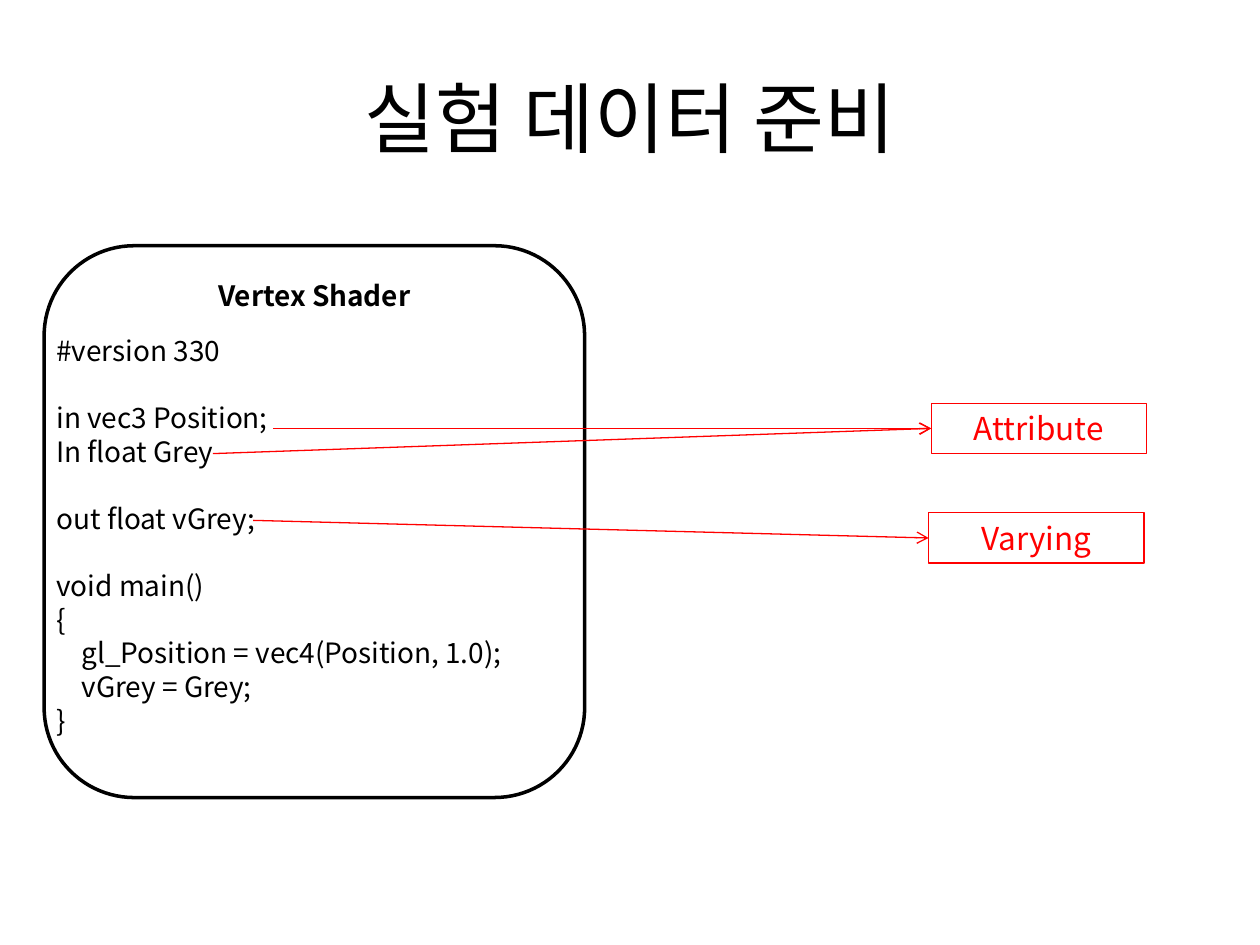
from pptx import Presentation
from pptx.dml.color import RGBColor
from pptx.enum.shapes import MSO_CONNECTOR, MSO_SHAPE
from pptx.enum.text import MSO_ANCHOR, PP_ALIGN
from pptx.oxml.ns import qn
from pptx.util import Inches, Pt
from lxml.etree import SubElement

FONT = "Noto Sans CJK KR"
COLORS = {"ink": "000000", "paper": "FFFFFF", "note": "FF0000"}
CODE_LINE = Pt(19.2)

# Code lines: text, indent in inches, lines left open above
CODE = [
    ("#version 330", 0, 0),
    ("in vec3 Position;", 0, 1),
    ("In float Grey", 0, 0),
    ("out float vGrey;", 0, 1),
    ("void main()", 0, 1),
    ("{", 0, 0),
    ("gl_Position = vec4(Position, 1.0);", 0.2, 0),
    ("vGrey = Grey;", 0.2, 0),
    ("}", 0, 0),
]

# Labels: text, box, starts of the arrows that point to it
LABELS = [
    ("Attribute", (7.39, 3.2, 1.71, 0.4), [(2.17, 3.4), (1.69, 3.6)]),
    ("Varying", (7.37, 4.07, 1.71, 0.4), [(2.01, 4.13)]),
]


def rgb(name):
    return RGBColor.from_string(COLORS[name])


def write(p, text, size, color="ink", bold=False, **layout):
    for name, value in layout.items():
        setattr(p, name, value)
    r = p.add_run()
    r.text = text
    for name, value in {"name": FONT, "size": Pt(size), "bold": bold}.items():
        setattr(r.font, name, value)
    r.font.color.rgb = rgb(color)
    SubElement(r.font._element, qn("a:ea"), typeface=FONT)


def add_text_box(s, box, anchor=MSO_ANCHOR.TOP):
    tf = s.shapes.add_textbox(*map(Inches, box)).text_frame
    tf.word_wrap = True
    tf.vertical_anchor = anchor
    return tf


def add_box(s, kind, box, line, width, fill=None):
    sp = s.shapes.add_shape(kind, *map(Inches, box))
    sp.shadow.inherit = False
    if fill:
        sp.fill.solid()
        sp.fill.fore_color.rgb = rgb(fill)
    else:
        sp.fill.background()
    sp.line.color.rgb = rgb(line)
    sp.line.width = Pt(width)
    return sp


def add_title(s, box):
    tf = add_text_box(s, box, MSO_ANCHOR.MIDDLE)
    write(tf.paragraphs[0], "실험 데이터 준비", 44, alignment=PP_ALIGN.CENTER)


def add_shader_panel(s, box):
    left, top, width, height = box
    panel = add_box(s, MSO_SHAPE.ROUNDED_RECTANGLE, box, "ink", 2, "paper")
    tf = panel.text_frame
    tf.vertical_anchor = MSO_ANCHOR.TOP
    write(tf.paragraphs[0], "Vertex Shader", 16, bold=True,
          alignment=PP_ALIGN.CENTER, line_spacing=CODE_LINE)

    # Code listing
    tf = add_text_box(s, (left, top + 0.65, width, 3.33))
    for i, (text, indent, gap) in enumerate(CODE):
        p = tf.add_paragraph() if i else tf.paragraphs[0]
        p._p.get_or_add_pPr().set("marL", str(Inches(indent)))
        write(p, text, 16, line_spacing=CODE_LINE, space_before=gap * CODE_LINE)


def add_arrow(s, start, target):
    x, y = map(Inches, start)
    arrow = s.shapes.add_connector(MSO_CONNECTOR.STRAIGHT, x, y, target.left, y)
    arrow.end_connect(target, 1)
    arrow.line.color.rgb = rgb("note")
    arrow.line.width = Pt(0.75)
    SubElement(arrow.line._get_or_add_ln(), qn("a:tailEnd"), type="arrow")
    SubElement(arrow._element.spPr, qn("a:effectLst"))


def add_label(s, text, box, starts):
    label = add_box(s, MSO_SHAPE.RECTANGLE, box, "note", 0.75)
    tf = label.text_frame
    tf.vertical_anchor = MSO_ANCHOR.MIDDLE
    write(tf.paragraphs[0], text, 18, "note", alignment=PP_ALIGN.CENTER)
    for start in starts:
        add_arrow(s, start, label)


def main():
    prs = Presentation()
    prs.slide_width, prs.slide_height = Inches(10), Inches(7.5)
    s = prs.slides.add_slide(prs.slide_layouts[6])
    add_title(s, (0.5, 0.3, 9, 1.25))
    add_shader_panel(s, (0.35, 1.95, 4.29, 4.38))
    for label in LABELS:
        add_label(s, *label)
    prs.save("out.pptx")


if __name__ == "__main__":
    main()
